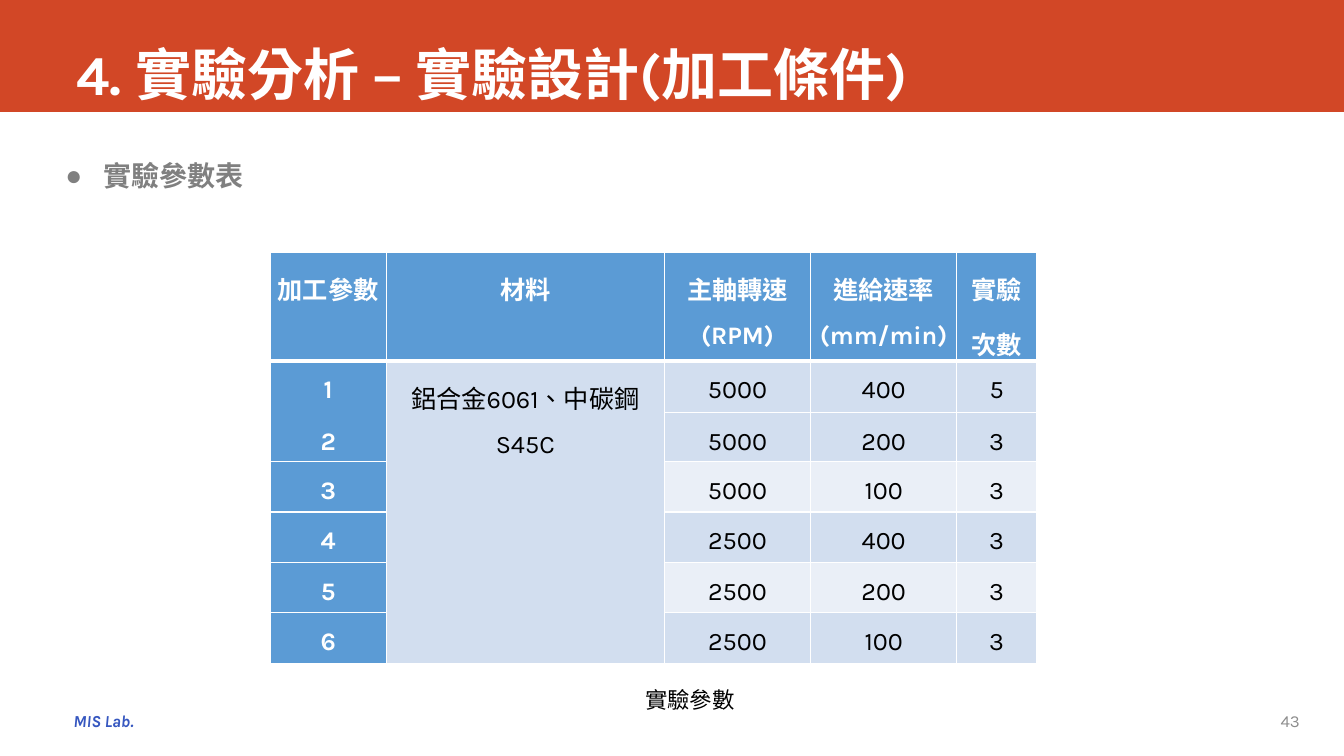
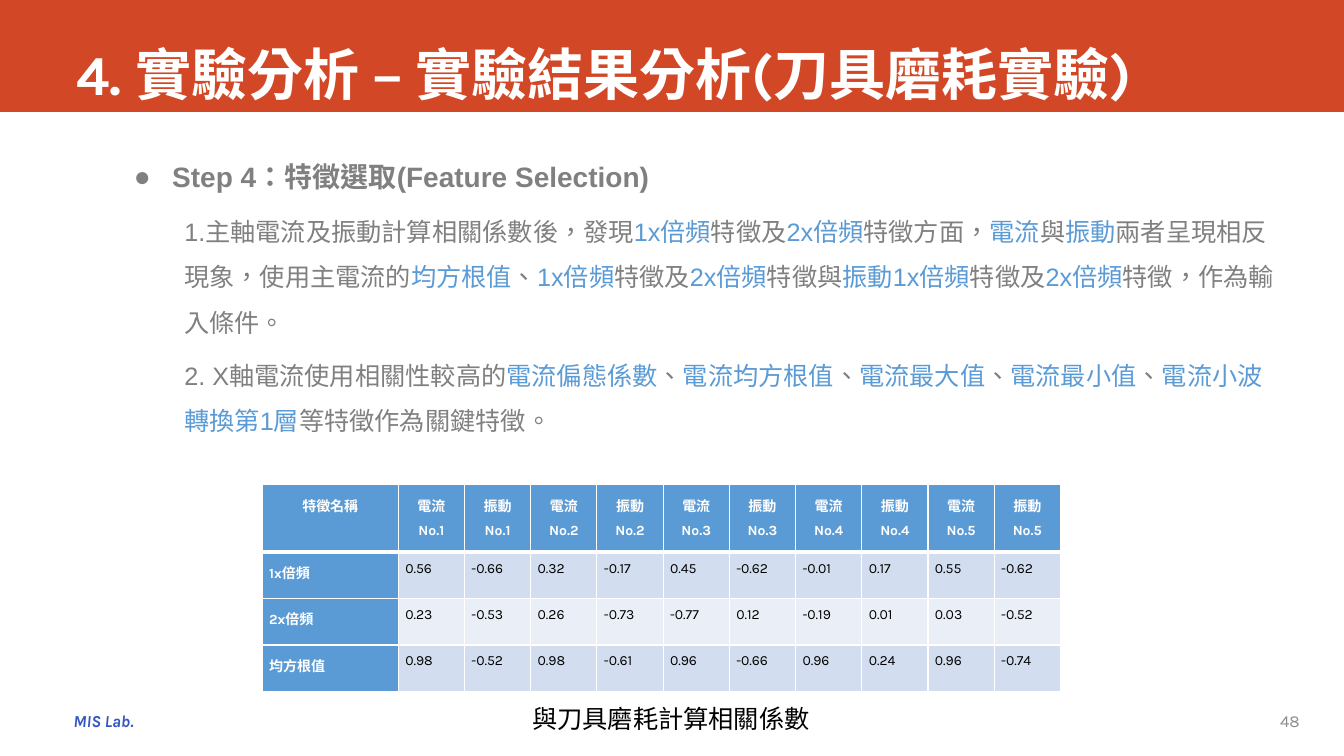
from lxml import etree
from pptx import Presentation
from pptx import util as u
from pptx.dml.color import RGBColor
from pptx.enum import lang, shapes, text
from pptx.oxml.ns import qn

COLORS = {
    "band": "D24726", "white": "FFFFFF", "black": "000000", "lab": "3657C0",
    "number": "8C8C8C", "body": "808080", "accent": "5B9BD5",
    "dark_row": "D2DEEF", "light_row": "EAEFF7",
}
HEADING_FONT, BODY_FONT = "Karla", "Arial"
LEFT, CENTER, RIGHT = text.PP_ALIGN.LEFT, text.PP_ALIGN.CENTER, text.PP_ALIGN.RIGHT

# Pieces between bars alternate between plain and highlighted text.
# A row of height 0 lets the label column break at another row than the values.
SLIDES = [
    {
        "title": "4. 實驗分析 – 實驗設計(加工條件)",
        "number": "43",
        "body_box": (0.55, 1.36, 3.99, 0.8),
        "heading": "實驗參數表",
        "points": [],
        "table": {
            "at": (2.68, 2.5),
            "columns": [1.15, 2.76, 1.45, 1.45, 0.79],
            "heights": [1.08, 0.51, 0, 0.49] + [0.5] * 4,
            "size": 18,
            "align": CENTER,
            "light_rows": (4, 6),
            "merges": [((1, 1), (7, 1)), ((2, 0), (3, 0))]
                      + [((1, column), (2, column)) for column in (2, 3, 4)],
            "joined_labels": (1, 2),
            "rows": [
                ["加工參數", "材料", "主軸轉速(RPM)", "進給速率(mm/min)", "實驗次數"],
                ["1", "鋁合金6061、中碳鋼S45C", "5000", "400", "5"],
                ["2", "", "", "", ""],
                ["", "", "5000", "200", "3"],
                ["3", "", "5000", "100", "3"],
                ["4", "", "2500", "400", "3"],
                ["5", "", "2500", "200", "3"],
                ["6", "", "2500", "100", "3"],
            ],
        },
        "caption": {"text": "實驗參數", "box": (6.3, 6.62, 1.28, 0.64),
                    "size": 16, "spacing": 1.5},
    },
    {
        "title": "4. 實驗分析 – 實驗結果分析(刀具磨耗實驗)",
        "number": "48",
        "body_box": (1.23, 1.37, 11.53, 3.52),
        "heading": "Step 4：特徵選取(Feature Selection)",
        "points": [
            "1.主軸電流及振動計算相關係數後，發現|1x倍頻|特徵及|2x倍頻|特徵方面，|電流|與|振動|"
            "兩者呈現相反現象，使用主電流的|均方根值|、|1x倍頻|特徵及|2x倍頻|特徵與|振動1x倍頻|"
            "特徵及|2x倍頻|特徵，作為輸入條件。",
            "2. X軸電流使用相關性較高的|電流偏態係數|、|電流均方根值|、|電流最大值|、|電流最小值|、|"
            "電流小波轉換第1層|等特徵作為關鍵特徵。",
        ],
        "table": {
            "at": (2.6, 4.81),
            "columns": [1.35] + [(7.92 - 1.35) / 10] * 10,
            "heights": [0.67] + [0.46] * 3,
            "size": 10,
            "align": LEFT,
            "light_rows": (2,),
            "rows": [
                ["特徵名稱"] + [f"{signal}No.{number}" for number in range(1, 6)
                            for signal in ("電流", "振動")],
                ["1x倍頻", "0.56", "-0.66", "0.32", "-0.17", "0.45", "-0.62",
                 "-0.01", "0.17", "0.55", "-0.62"],
                ["2x倍頻", "0.23", "-0.53", "0.26", "-0.73", "-0.77", "0.12",
                 "-0.19", "0.01", "0.03", "-0.52"],
                ["均方根值", "0.98", "-0.52", "0.98", "-0.61", "0.96", "-0.66",
                 "0.96", "0.24", "0.96", "-0.74"],
            ],
        },
        "caption": {"text": "與刀具磨耗計算相關係數", "box": (5.18, 6.93, 6.08, 0.4),
                    "size": 18, "spacing": 1},
    },
]


def rgb(color):
    return RGBColor.from_string(COLORS[color])


def inches(values):
    return [u.Inches(value) for value in values]


def style(run, size, color, font=HEADING_FONT, bold=False, italic=False):
    run.font.size = u.Pt(size)
    run.font.color.rgb = rgb(color)
    run.font.name = font
    run.font.bold = bold
    run.font.italic = italic
    run.font.language_id = lang.MSO_LANGUAGE_ID.TRADITIONAL_CHINESE


def write(paragraph, content, size, color, align=LEFT, spacing=1, **look):
    paragraph.text = content
    paragraph.alignment = align
    paragraph.line_spacing = spacing
    for run in paragraph.runs:
        style(run, size, color, **look)


def add_text_box(slide, box, anchor=text.MSO_ANCHOR.TOP):
    frame = slide.shapes.add_textbox(*inches(box)).text_frame
    frame.word_wrap = True
    frame.vertical_anchor = anchor
    return frame


def add_rectangle(slide, box, color):
    shape = slide.shapes.add_shape(shapes.MSO_SHAPE.RECTANGLE, *inches(box))
    shape.shadow.inherit = False
    shape.fill.solid()
    shape.fill.fore_color.rgb = rgb(color)
    shape.line.fill.background()
    return shape


def add_frame(slide, title, number):
    """Add the title band, lab name and slide number found on every slide."""
    add_rectangle(slide, (0, 0, 13.33, 1.11), "band")
    lab = add_rectangle(slide, (0.63, 7, 0.89, 0.3), "white").text_frame
    lab.vertical_anchor = text.MSO_ANCHOR.TOP
    lab.auto_size = text.MSO_AUTO_SIZE.SHAPE_TO_FIT_TEXT
    write(lab.paragraphs[0], "MIS Lab.", 12, "lab", bold=True, italic=True)

    frame = add_text_box(slide, (0.66, 0, 11.76, 1.11), text.MSO_ANCHOR.BOTTOM)
    write(frame.paragraphs[0], title, 40, "white", bold=True)
    frame = add_text_box(slide, (9.41, 6.95, 3.58, 0.4), text.MSO_ANCHOR.MIDDLE)
    write(frame.paragraphs[0], number, 12, "number", align=RIGHT)


def indent(paragraph, margin, first_line=0.0, bullet=None):
    properties = paragraph._p.get_or_add_pPr()
    properties.set("marL", str(u.Inches(margin)))
    properties.set("indent", str(u.Inches(first_line)))
    if bullet:
        etree.SubElement(properties, qn("a:buFont"), typeface=BODY_FONT)
        etree.SubElement(properties, qn("a:buChar"), char=bullet)


def add_body(slide, box, heading, points):
    frame = add_text_box(slide, box)
    paragraph = frame.paragraphs[0]
    indent(paragraph, 0.38, -0.38, "●")
    write(paragraph, heading, 20, "body", spacing=1.5, font=BODY_FONT, bold=True)
    for point in points:
        paragraph = frame.add_paragraph()
        paragraph.level = 1
        indent(paragraph, 0.5)
        paragraph.line_spacing = 1.5
        paragraph.space_before = u.Pt(5.4)
        for index, piece in enumerate(point.split("|")):
            run = paragraph.add_run()
            run.text = piece
            style(run, 18, "accent" if index % 2 else "body", BODY_FONT)


def set_border(cell, side, width, color=None):
    """Draw one side of a cell, or hide it when no color is given."""
    line = etree.SubElement(cell._tc.get_or_add_tcPr(), qn(f"a:ln{side}"),
                            w=str(u.Pt(width)))
    if color:
        fill = etree.SubElement(line, qn("a:solidFill"))
        etree.SubElement(fill, qn("a:srgbClr"), val=COLORS[color])
    else:
        etree.SubElement(line, qn("a:noFill"))


def add_data_table(slide, data):
    rows, columns, heights = data["rows"], data["columns"], data["heights"]
    size = (sum(columns), sum(heights))
    table = slide.shapes.add_table(len(rows), len(columns),
                                   *inches(data["at"] + size)).table
    for column, width in zip(table.columns, columns):
        column.width = u.Inches(width)
    for row, height in zip(table.rows, heights):
        row.height = u.Inches(height)

    upper, lower = data.get("joined_labels", (None, None))
    for r, row in enumerate(rows):
        for c, content in enumerate(row):
            cell = table.cell(r, c)
            is_label = r == 0 or c == 0
            cell.margin_left = cell.margin_right = u.Inches(0.07)
            cell.margin_top = cell.margin_bottom = 0
            for side in "LRTB":
                is_joined = c == 0 and (r, side) in ((upper, "B"), (lower, "T"))
                is_header_edge = (r, side) in ((0, "B"), (1, "T"))
                set_border(cell, side, 3 if is_header_edge else 1,
                           None if is_joined else "white")
            band = "light_row" if r in data["light_rows"] else "dark_row"
            cell.fill.solid()
            cell.fill.fore_color.rgb = rgb("accent" if is_label else band)
            write(cell.text_frame.paragraphs[0], content, data["size"],
                  "white" if is_label else "black",
                  align=CENTER if r == 0 else data["align"],
                  spacing=1.5, bold=is_label)
    for first, last in data.get("merges", []):
        table.cell(*first).merge(table.cell(*last))


def main():
    presentation = Presentation()
    presentation.slide_width, presentation.slide_height = inches((13.33, 7.5))
    for content in SLIDES:
        slide = presentation.slides.add_slide(presentation.slide_layouts[6])
        add_frame(slide, content["title"], content["number"])
        add_body(slide, content["body_box"], content["heading"], content["points"])
        add_data_table(slide, content["table"])
        caption = content["caption"]
        frame = add_text_box(slide, caption["box"])
        write(frame.paragraphs[0], caption["text"], caption["size"], "black",
              spacing=caption["spacing"])
    presentation.save("out.pptx")


if __name__ == "__main__":
    main()
